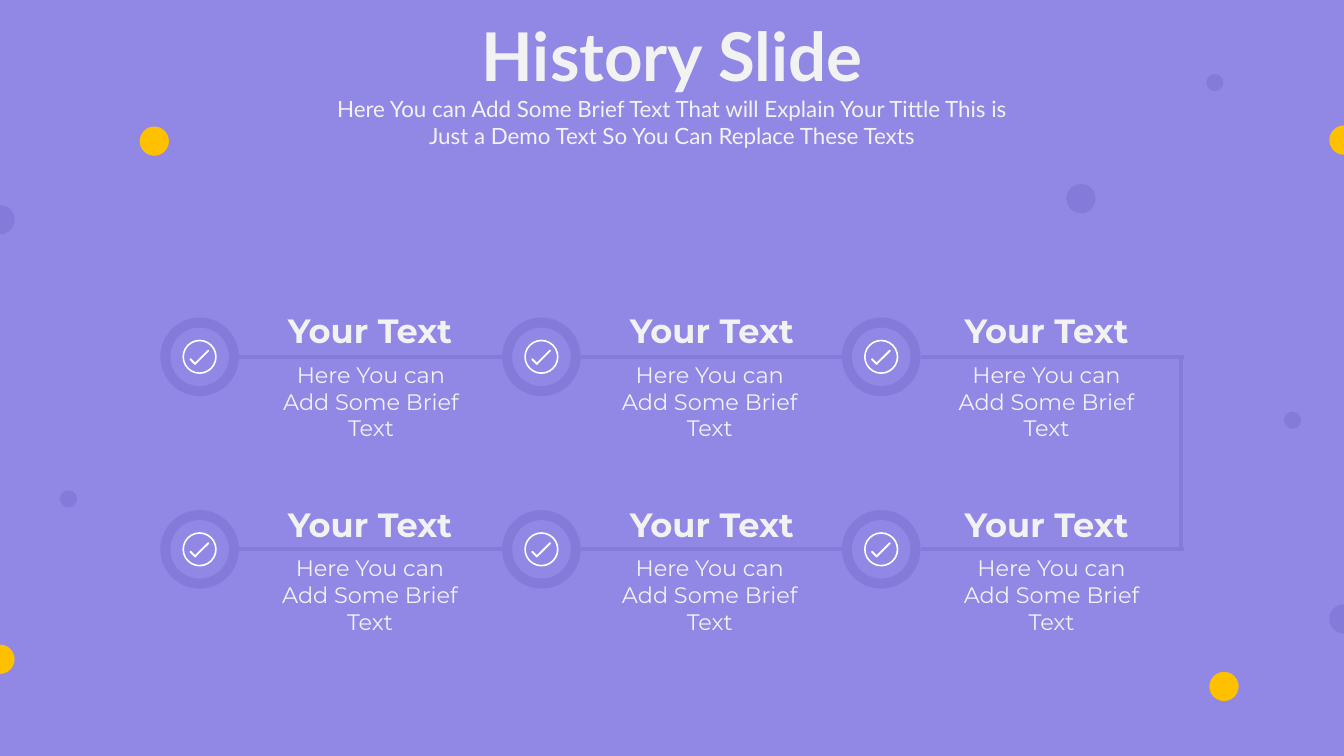
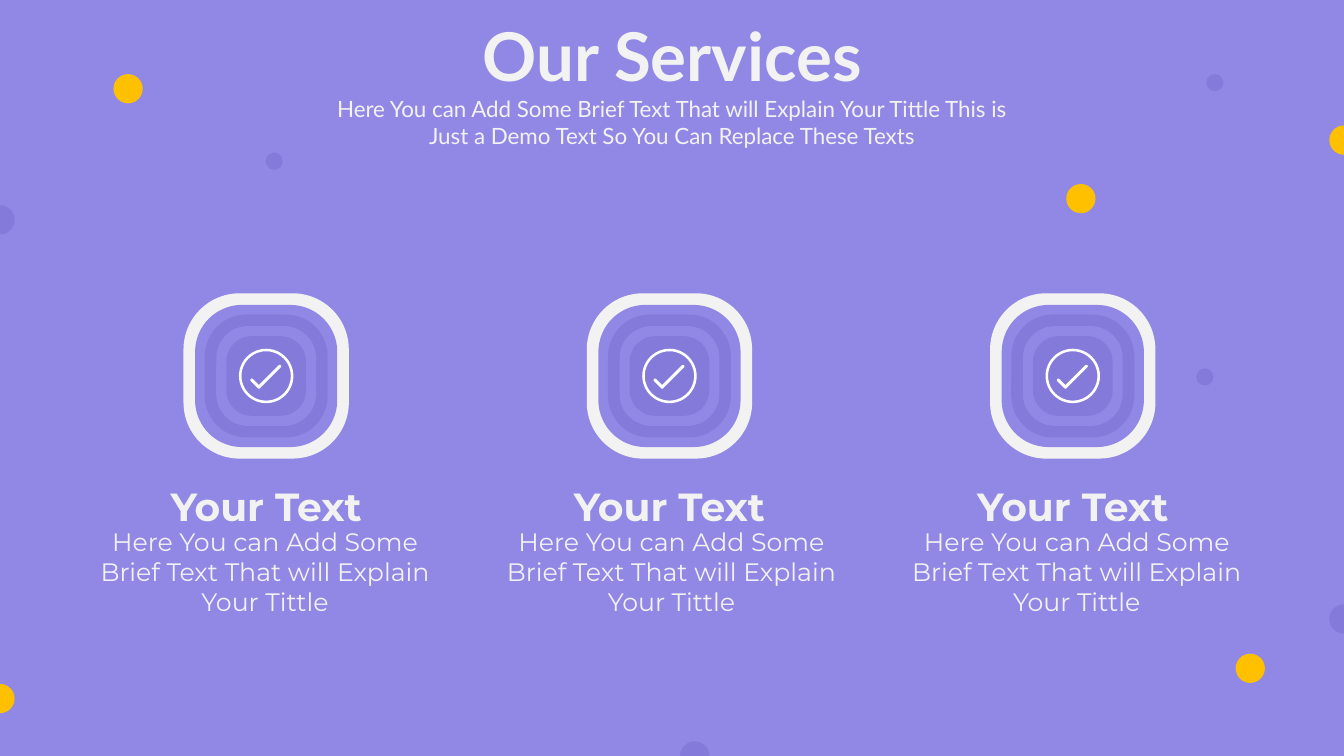
from lxml.etree import SubElement
from pptx import Presentation
from pptx.dml.color import RGBColor
from pptx.enum.shapes import MSO_CONNECTOR, MSO_SHAPE
from pptx.enum.text import MSO_ANCHOR, MSO_AUTO_SIZE, PP_ALIGN
from pptx.oxml.ns import qn
from pptx.util import Inches, Pt

W, H = 13.33, 7.5
COLORS = {"bg": "9188E5", "dark": "837AD9", "gold": "FFC000",
          "text": "F2F2F2", "icon": "FFFFFF"}
TITLE_FONT, BODY_FONT = "Lato", "Montserrat"

SUBTITLE = ("Here You can Add Some Brief Text That will Explain Your Tittle "
            "This is Just a Demo Text So You Can Replace These Texts")
HEADING = "Your Text"
STEP_TEXT = "Here You can Add Some Brief Text"
SERVICE_TEXT = "Here You can Add Some Brief Text That will Explain Your Tittle"

BIG, SMALL = 0.29, 0.17
SHARED_DOTS = [(12.05, 0.82, SMALL, "dark")]
HISTORY_DOTS = [
    (0.68, 4.95, SMALL, "dark"), (1.53, 1.4, BIG, "gold"),
    (12.82, 4.17, SMALL, "dark"), (12.14, 6.81, BIG, "gold"),
    (10.72, 1.97, BIG, "dark"),
]
SERVICE_DOTS = [
    (2.72, 1.6, SMALL, "dark"), (1.27, 0.88, BIG, "gold"),
    (11.95, 3.74, SMALL, "dark"), (12.4, 6.63, BIG, "gold"),
    (10.72, 1.97, BIG, "gold"),
]

INWARD = {"left": (1, 0), "right": (-1, 0), "bottom": (0, -1)}
SHARED_HALVES = [
    (0, 2.18, "left", "dark"), (W, 6.14, "right", "dark"), (W, 1.39, "right", "gold"),
]
HISTORY_HALVES = [(0, 6.54, "left", "gold")]
SERVICE_HALVES = [(0, 6.93, "left", "gold"), (6.89, H, "bottom", "dark")]

STEP_X = [1.98, 5.37, 8.74]
STEP_Y = [3.54, 5.45]
STEP_TEXT_TOP = [3.53, 5.45]
STEP_HEADING_X = [3.67, 7.06, 10.38]
STEP_TEXT_X = [[3.68, 7.04, 10.38], [3.67, 7.04, 10.43]]
NODE, TURN_X = 0.78, 11.71

SERVICE_X = [2.64 + 4 * i for i in range(3)]
SERVICE_TEXT_X = [2.63, 6.66, 10.68]
SERVICE_Y = 3.73
BADGE_LAYERS = [
    (1.64, 0.34, "text"), (1.41, 0.33, "bg"), (1.22, 0.34, "dark"),
    (0.99, 0.32, "bg"), (0.79, 0.32, "dark"),
]

prs = Presentation()
prs.slide_width, prs.slide_height = Inches(W), Inches(H)


def rgb(name):
    return RGBColor.from_string(COLORS[name])


def paint(sp, color):
    sp.shadow.inherit = False
    sp.fill.solid()
    sp.fill.fore_color.rgb = rgb(color)
    sp.line.fill.background()


def add_centered(s, kind, x, y, w, h, color, adj=None, rotation=0):
    sp = s.shapes.add_shape(kind, Inches(x - w / 2), Inches(y - h / 2),
                            Inches(w), Inches(h))
    if adj is not None:
        sp.adjustments[0] = adj
    sp.rotation = rotation
    paint(sp, color)


def add_half_dot(s, x, y, edge, color):
    r, k = BIG / 2, 0.55
    nx, ny = INWARD[edge]
    curve = [(1, 0), (-1, 0), (-1, k), (-k, 1), (0, 1), (k, 1), (1, k), (1, 0)]
    pts = [(Inches(x + r * (b * nx - a * ny)), Inches(y + r * (b * ny + a * nx)))
           for a, b in curve]
    outline = s.shapes.build_freeform(*pts[0])
    outline.add_line_segments(pts[1:], close=True)
    sp = outline.convert_to_shape()
    segments = list(sp._element.iter(qn("a:lnTo")))
    for start in (1, 4):
        first, *others = segments[start:start + 3]
        first.tag = qn("a:cubicBezTo")
        for segment in others:
            first.append(segment[0])
            segment.getparent().remove(segment)
    paint(sp, color)


def add_check(s, x, y, d):
    add_centered(s, MSO_SHAPE.DONUT, x, y, d, d, "icon", 0.047)
    for dx, dy, length, angle in [(-0.2, 0.14, 0.24, 135), (0.06, 0.01, 0.59, 225)]:
        add_centered(s, MSO_SHAPE.ROUNDED_RECTANGLE, x + dx * d, y + dy * d,
                     0.055 * d, length * d, "icon", 0.5, angle)


def add_line(s, x1, y1, x2, y2):
    line = s.shapes.add_connector(MSO_CONNECTOR.STRAIGHT, Inches(x1), Inches(y1),
                                  Inches(x2), Inches(y2))
    line.line.color.rgb = rgb("dark")
    line.line.width = Pt(3)
    SubElement(line._element.spPr, qn("a:effectLst"))


def write(sp, text, font, size, bold=False):
    tf = sp.text_frame
    tf.word_wrap = True
    tf.auto_size = MSO_AUTO_SIZE.NONE
    tf.vertical_anchor = MSO_ANCHOR.TOP
    tf.text = text
    p = tf.paragraphs[0]
    p.alignment = PP_ALIGN.CENTER
    p.space_before = Pt(0)
    f = p.runs[0].font
    f.name, f.size, f.bold = font, Pt(size), bold
    f.color.rgb = rgb("text")


def add_text(s, x, top, w, h, text, size, bold=False):
    sp = s.shapes.add_textbox(Inches(x - w / 2), Inches(top), Inches(w), Inches(h))
    write(sp, text, BODY_FONT, size, bold)


def fill_placeholder(sp, left, top, w, h, text, size, bold=False):
    sp.left, sp.top, sp.width, sp.height = map(Inches, (left, top, w, h))
    write(sp, text, TITLE_FONT, size, bold)


def new_slide(title, dots, halves):
    s = prs.slides.add_slide(prs.slide_layouts[0])
    fill_placeholder(s.shapes.title, 4.02, 0.09, 5.29, 0.91, title, 48, True)
    fill_placeholder(s.placeholders[1], 3.19, 0.89, 6.95, 0.64, SUBTITLE, 16)
    for x, y, d, color in SHARED_DOTS + dots:
        add_centered(s, MSO_SHAPE.OVAL, x, y, d, d, color)
    for half in SHARED_HALVES + halves:
        add_half_dot(s, *half)
    return s


bg = prs.slide_master.background.fill
bg.solid()
bg.fore_color.rgb = rgb("bg")

s = new_slide("History Slide", HISTORY_DOTS, HISTORY_HALVES)
add_line(s, TURN_X, STEP_Y[1], TURN_X, STEP_Y[0])
for y, top, text_xs in zip(STEP_Y, STEP_TEXT_TOP, STEP_TEXT_X):
    ends = [x - NODE / 2 for x in STEP_X[1:]] + [TURN_X + 0.03]
    for x, end, heading_x, text_x in zip(STEP_X, ends, STEP_HEADING_X, text_xs):
        add_line(s, x + NODE / 2, y, end, y)
        add_centered(s, MSO_SHAPE.OVAL, x, y, NODE, NODE, "dark")
        add_centered(s, MSO_SHAPE.OVAL, x, y, 0.58, 0.58, "bg")
        add_check(s, x, y, 0.34)
        add_text(s, heading_x, top - 0.5, 2.26, 0.5, HEADING, 24, True)
        add_text(s, text_x, top, 2.1, 0.91, STEP_TEXT, 16)

s = new_slide("Our Services", SERVICE_DOTS, SERVICE_HALVES)
for x, text_x in zip(SERVICE_X, SERVICE_TEXT_X):
    for size, adj, color in BADGE_LAYERS:
        add_centered(s, MSO_SHAPE.ROUNDED_RECTANGLE, x, SERVICE_Y, size, size, color, adj)
    add_check(s, x, SERVICE_Y, 0.54)
    add_text(s, x, 4.74, 2.26, 0.57, HEADING, 28, True)
    add_text(s, text_x, 5.17, 3.7, 1.01, SERVICE_TEXT, 18)

prs.save("out.pptx")
